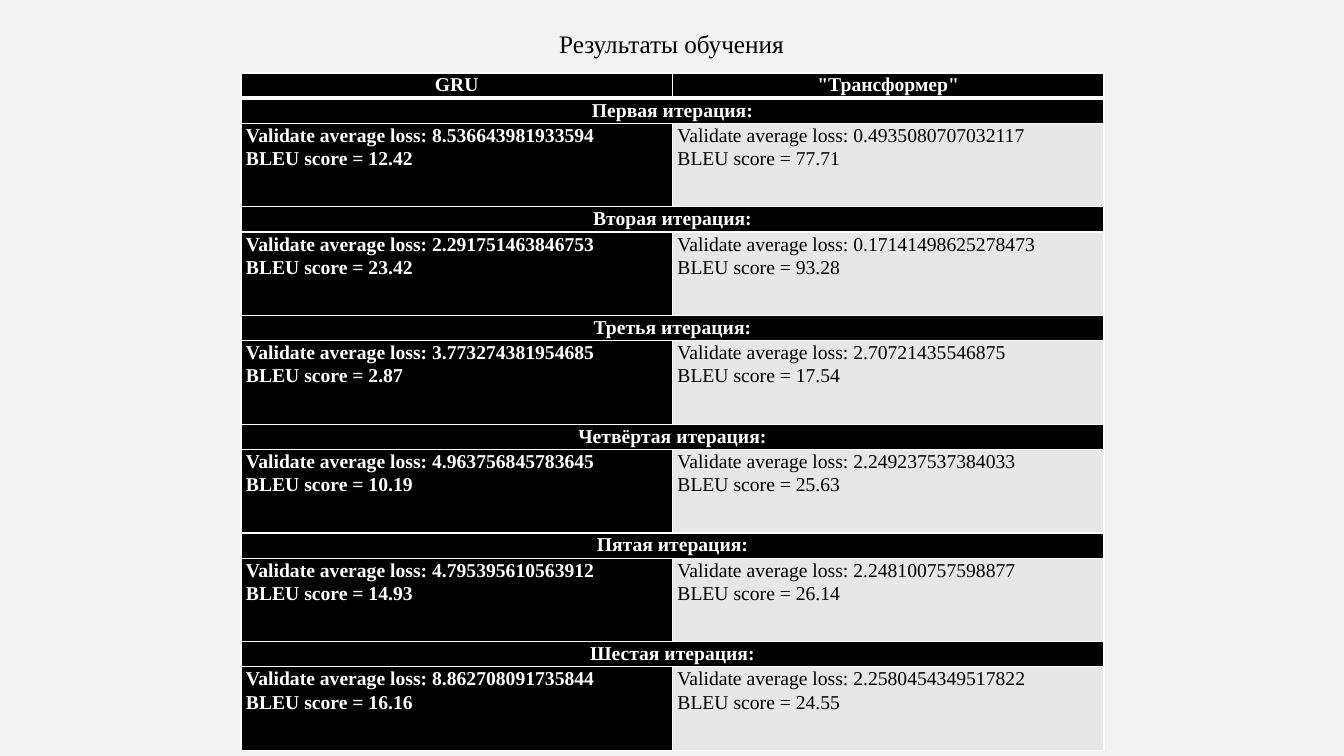
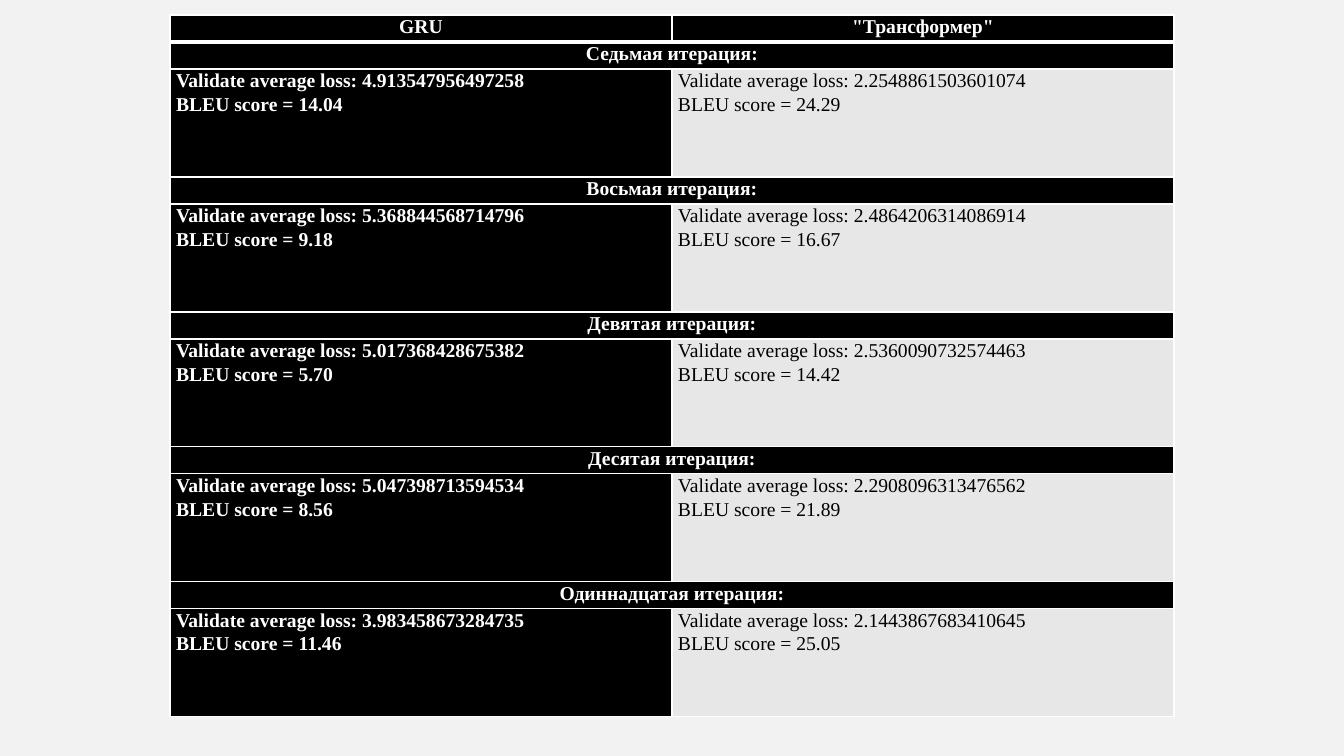
from dataclasses import dataclass

from lxml.etree import SubElement
from pptx import Presentation
from pptx.dml.color import RGBColor as RGB
from pptx.enum.text import MSO_ANCHOR as ANCHOR, MSO_AUTO_SIZE as FIT, PP_ALIGN as AL
from pptx.oxml.ns import qn
from pptx.util import Emu, Pt

EMU_PER_PX = 914400 / 100.8
TITLE_ONLY, BLANK = 5, 6


@dataclass(frozen=True)
class Theme:
    font: str = "Times New Roman"
    page: str = "F2F2F2"
    dark: str = "000000"
    light: str = "E7E7E7"
    line: str = "FFFFFF"
    title_size: int = 18
    cell_size: int = 14
    spacing: float = 1.07
    thin: int = 1
    thick: int = 3


HEADS = ("GRU", '"Трансформер"')
FIRST_RUNS = [
    ("Первая", ("8.536643981933594", "12.42"), ("0.4935080707032117", "77.71")),
    ("Вторая", ("2.291751463846753", "23.42"), ("0.17141498625278473", "93.28")),
    ("Третья", ("3.773274381954685", "2.87"), ("2.70721435546875", "17.54")),
    ("Четвёртая", ("4.963756845783645", "10.19"), ("2.249237537384033", "25.63")),
    ("Пятая", ("4.795395610563912", "14.93"), ("2.248100757598877", "26.14")),
    ("Шестая", ("8.862708091735844", "16.16"), ("2.2580454349517822", "24.55")),
]
LAST_RUNS = [
    ("Седьмая", ("4.913547956497258", "14.04"), ("2.2548861503601074", "24.29")),
    ("Восьмая", ("5.368844568714796", "9.18"), ("2.4864206314086914", "16.67")),
    ("Девятая", ("5.017368428675382", "5.70"), ("2.5360090732574463", "14.42")),
    ("Десятая", ("5.047398713594534", "8.56"), ("2.2908096313476562", "21.89")),
    ("Одиннадцатая", ("3.983458673284735", "11.46"), ("2.1443867683410645", "25.05")),
]


def px(n):
    return Emu(round(n * EMU_PER_PX))


def write(tf, text, *, font, size, color, spacing, bold=False, align=AL.LEFT, after=0):
    p = tf.paragraphs[0]
    p.alignment, p.line_spacing = align, spacing
    p.space_before, p.space_after = Pt(0), Pt(after)
    for i, line in enumerate(text.split("\n")):
        if i:
            p.add_line_break()
        r = p.add_run()
        r.text = line
        r.font.name, r.font.size, r.font.bold = font, Pt(size), bold
        r.font.color.rgb = RGB.from_string(color)


class Deck:
    """Holds the style and the current slide, and draws each kind of element."""

    def __init__(self, theme):
        self.theme = theme
        self.prs = Presentation()
        self.prs.slide_width, self.prs.slide_height = px(1344), px(756)
        fill = self.prs.slide_master.background.fill
        fill.solid()
        fill.fore_color.rgb = RGB.from_string(theme.page)

    def slide(self, layout):
        self.s = self.prs.slides.add_slide(self.prs.slide_layouts[layout])

    def text(self, tf, text, **fmt):
        write(tf, text, font=self.theme.font, spacing=self.theme.spacing, **fmt)

    def title(self, text, x, y, w, h):
        sp = self.s.shapes.title
        sp.left, sp.top, sp.width, sp.height = map(px, (x, y, w, h))
        tf = sp.text_frame
        tf.word_wrap, tf.auto_size = False, FIT.SHAPE_TO_FIT_TEXT
        tf.vertical_anchor = ANCHOR.TOP
        self.text(tf, text, size=self.theme.title_size, color=self.theme.dark,
                  align=AL.CENTER, after=8)

    def borders(self, cell, **widths):
        tcPr = cell._tc.get_or_add_tcPr()
        for i, side in enumerate("LRTB"):
            width = Pt(widths.get(side, self.theme.thin))
            ln = SubElement(tcPr, qn(f"a:ln{side}"), w=str(width))
            SubElement(SubElement(ln, qn("a:solidFill")), qn("a:srgbClr"), val=self.theme.line)
            tcPr.insert(i, ln)

    def cell(self, cell, text, inset, *, dark=True, align=AL.LEFT, **widths):
        th = self.theme
        cell.margin_left = cell.margin_right = px(inset)
        cell.margin_top = cell.margin_bottom = 0
        cell.vertical_anchor = ANCHOR.TOP
        cell.fill.solid()
        cell.fill.fore_color.rgb = RGB.from_string(th.dark if dark else th.light)
        self.borders(cell, **widths)
        if text:
            self.text(cell.text_frame, text, size=th.cell_size, bold=dark,
                      color=th.line if dark else th.dark, align=align)

    def results(self, runs, x, y, w, h, band, inset):
        frame = self.s.shapes.add_table(1 + 2 * len(runs), 2, *map(px, (x, y, w, h)))
        tbl = frame.table
        tbl.first_row = tbl.horz_banding = False
        body = (h - band * (len(runs) + 1)) / len(runs)
        for i, row in enumerate(tbl.rows):
            row.height = px(body if i and i % 2 == 0 else band)
        for col, head in enumerate(HEADS):
            self.cell(tbl.cell(0, col), head, inset, align=AL.CENTER, B=self.theme.thick)
        for i, (name, *scores) in enumerate(runs):
            top = 1 + 2 * i
            tbl.cell(top, 0).merge(tbl.cell(top, 1))
            above = self.theme.thin if i else self.theme.thick
            for col, (loss, bleu) in enumerate(scores):
                self.cell(tbl.cell(top, col), "" if col else f"{name} итерация:", inset,
                          align=AL.CENTER, T=above)
                self.cell(tbl.cell(top + 1, col),
                          f"Validate average loss: {loss}\nBLEU score = {bleu}",
                          inset, dark=col == 0)


def main():
    deck = Deck(Theme())
    deck.slide(TITLE_ONLY)
    deck.title("Результаты обучения", 548, 21, 247, 41)
    deck.results(FIRST_RUNS, 241, 73, 863, 676, band=25, inset=5)
    deck.slide(BLANK)
    deck.results(LAST_RUNS, 170, 15, 1004, 702, band=27, inset=6)
    deck.prs.save("out.pptx")


if __name__ == "__main__":
    main()
